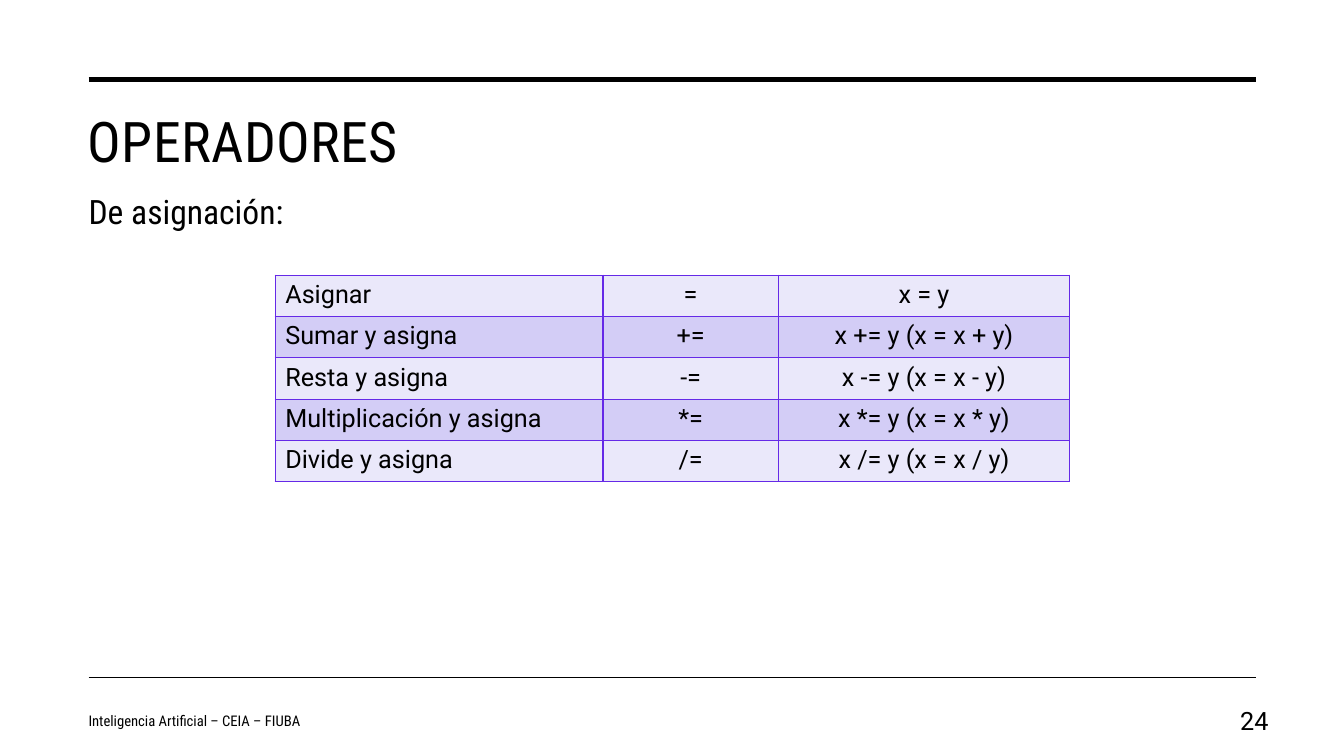
from lxml import etree
from pptx import Presentation
from pptx.dml.color import RGBColor
from pptx.enum.shapes import MSO_CONNECTOR
from pptx.enum.text import MSO_ANCHOR, MSO_AUTO_SIZE, PP_ALIGN
from pptx.oxml import parse_xml
from pptx.oxml.ns import nsdecls, qn
from pptx.util import Inches, Pt

STRAIGHT = MSO_CONNECTOR.STRAIGHT
TOP, MIDDLE = MSO_ANCHOR.TOP, MSO_ANCHOR.MIDDLE
LEFT, CENTER, RIGHT = PP_ALIGN.LEFT, PP_ALIGN.CENTER, PP_ALIGN.RIGHT
TITLE_ONLY = 5

COLORS = {
    "ink": "000000",
    "border": "6529E7",
    "light": "EAE8FA",
    "dark": "D3CDF6",
}
BODY, CONDENSED = "Roboto", "Roboto Condensed"

OPERATORS = [
    ("Asignar", "=", "x = y"),
    ("Sumar y asigna", "+=", "x += y (x = x + y)"),
    ("Resta y asigna", "-=", "x -= y (x = x - y)"),
    ("Multiplicación y asigna", "*=", "x *= y (x = x * y)"),
    ("Divide y asigna", "/=", "x /= y (x = x / y)"),
]
COLUMN_WIDTHS = [3.25, 1.74, 2.89]
COLUMN_ALIGNS = [LEFT, CENTER, CENTER]
ROW_HEIGHT = 0.41


def color(name):
    return RGBColor.from_string(COLORS[name])


def write(frame, text, size, font, align=LEFT):
    """Put one formatted line of text in a text frame."""
    paragraph = frame.paragraphs[0]
    paragraph.alignment = align
    run = paragraph.add_run()
    run.text = text
    for key, value in {"size": Pt(size), "name": font, "bold": False}.items():
        setattr(run.font, key, value)
    run.font.color.rgb = color("ink")
    return run


def add_rule(slide, y, weight):
    rule = slide.shapes.add_connector(
        STRAIGHT, Inches(0.88), Inches(y), Inches(12.46), Inches(y))
    rule.line.color.rgb = color("ink")
    rule.line.width = Pt(weight)
    etree.SubElement(rule.element.spPr, qn("a:effectLst"))


def set_title(slide, text):
    title = slide.shapes.title
    place = {"left": 0.77, "top": 1.01, "width": 11.69, "height": 1.5}
    for key, value in place.items():
        setattr(title, key, Inches(value))
    frame = title.text_frame
    frame.auto_size = MSO_AUTO_SIZE.NONE
    frame.vertical_anchor = TOP
    run = write(frame, text, 40, CONDENSED)
    run.font._element.set("spc", "30")


def add_text(slide, box, text, size, font, align=LEFT, anchor=TOP):
    frame = slide.shapes.add_textbox(*map(Inches, box)).text_frame
    frame.word_wrap = True
    frame.vertical_anchor = anchor
    write(frame, text, size, font, align)


def set_borders(cell):
    properties = cell._tc.get_or_add_tcPr()
    for side in ("lnL", "lnR", "lnT", "lnB"):
        properties.append(parse_xml(
            f'<a:{side} {nsdecls("a")} w="{Pt(1)}"><a:solidFill>'
            f'<a:srgbClr val="{COLORS["border"]}"/></a:solidFill></a:{side}>'))


def add_operator_table(slide):
    table = slide.shapes.add_table(
        len(OPERATORS), len(COLUMN_WIDTHS), Inches(2.73), Inches(2.73),
        Inches(sum(COLUMN_WIDTHS)), Inches(ROW_HEIGHT * len(OPERATORS))).table
    table.first_row = False
    table.horz_banding = False
    for column, width in zip(table.columns, COLUMN_WIDTHS):
        column.width = Inches(width)
    for r, operator in enumerate(OPERATORS):
        table.rows[r].height = Inches(ROW_HEIGHT)
        for c, text in enumerate(operator):
            cell = table.cell(r, c)
            set_borders(cell)
            cell.fill.solid()
            cell.fill.fore_color.rgb = color("dark" if r % 2 else "light")
            write(cell.text_frame, text, 18, BODY, COLUMN_ALIGNS[c])


def main():
    prs = Presentation()
    prs.slide_width, prs.slide_height = Inches(13.33), Inches(7.5)
    slide = prs.slides.add_slide(prs.slide_layouts[TITLE_ONLY])

    # Frame rules
    add_rule(slide, 0.79, 3.5)
    add_rule(slide, 6.72, 1)

    # Heading
    set_title(slide, "OPERADORES")
    add_text(slide, (0.78, 1.84, 8.38, 0.5), "De asignación:", 24, CONDENSED)

    # Assignment operators
    add_operator_table(slide)

    # Footer
    add_text(slide, (0.78, 6.95, 4.96, 0.4),
             "Inteligencia Artificial – CEIA – FIUBA", 10.5, CONDENSED,
             anchor=MIDDLE)
    add_text(slide, (11.94, 6.95, 0.74, 0.4), "24", 18, BODY, RIGHT, MIDDLE)

    prs.save("out.pptx")


if __name__ == "__main__":
    main()
